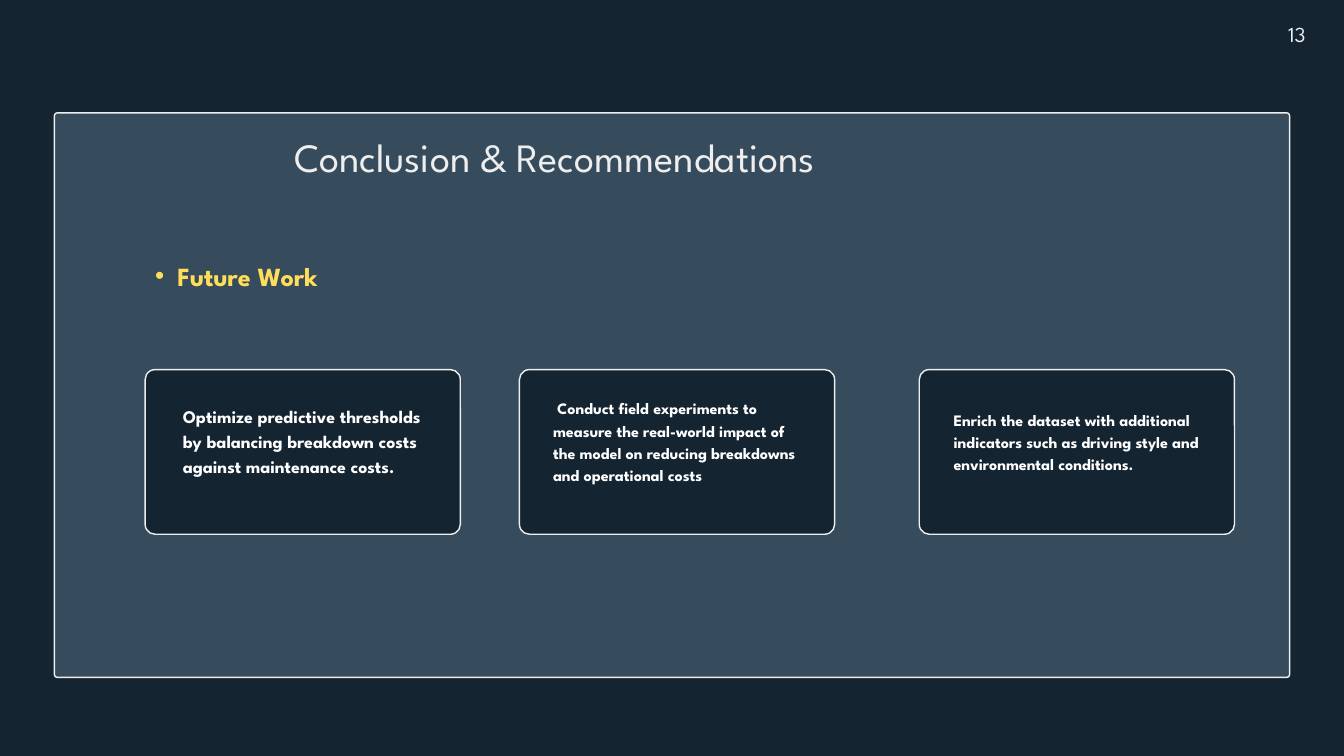
import dataclasses

import lxml.etree
import pptx
import pptx.dml.color
import pptx.enum.shapes
import pptx.enum.text
import pptx.oxml.ns
import pptx.slide
import pptx.text.text
import pptx.util

NAVY = pptx.dml.color.RGBColor(0x14, 0x24, 0x31)
SLATE = pptx.dml.color.RGBColor(0x36, 0x4C, 0x5D)
PALE = pptx.dml.color.RGBColor(0xEE, 0xEE, 0xEE)
YELLOW = pptx.dml.color.RGBColor(0xFF, 0xDE, 0x59)
WHITE = pptx.dml.color.RGBColor(0xFF, 0xFF, 0xFF)

FONT = "League Spartan"
SLIDE_WIDTH = pptx.util.Inches(20)
SLIDE_HEIGHT = pptx.util.Inches(11.25)
COLUMNS, ROWS = 80, 45
CARD_TOP, CARD_WIDTH, CARD_HEIGHT = 22, 18.76, 9.8


@dataclasses.dataclass(frozen=True)
class Area:
    """A rectangle in grid columns and rows."""

    column: float
    row: float
    columns: float
    rows: float

    def lengths(self) -> tuple[int, int, int, int]:
        """Return left, top, width and height on the slide."""
        across, down = SLIDE_WIDTH / COLUMNS, SLIDE_HEIGHT / ROWS
        return (
            round(self.column * across),
            round(self.row * down),
            round(self.columns * across),
            round(self.rows * down),
        )


@dataclasses.dataclass(frozen=True)
class Label:
    """A text with its place and type style."""

    text: str
    area: Area
    size: float
    leading: float
    color: pptx.dml.color.RGBColor = PALE
    bold: bool = False
    centered: bool = False
    bulleted: bool = False


@dataclasses.dataclass(frozen=True)
class Card:
    """A recommendation card and the label inside it."""

    column: float
    label: Label


PANEL = Area(3.24, 6.72, 73.52, 33.6)
HEADINGS = (
    Label("13", Area(76.68, 1, 2.32, 1.68), 22.9, 32),
    Label("Conclusion & Recommendations", Area(10, 7.4, 46, 3.24), 43, 60.1, centered=True),
    Label("Future Work", Area(7.92, 15.16, 19.48, 2.12), 28, 39.2, YELLOW, True, bulleted=True),
)
CARDS = (
    Card(8.64, Label(
        "Optimize predictive thresholds by balancing breakdown costs against maintenance costs.",
        Area(10.88, 23.92, 14.96, 5.8), 19.1, 26.7, WHITE, True)),
    Card(30.92, Label(
        " Conduct field experiments to measure the real-world impact of the model "
        "on reducing breakdowns and operational costs",
        Area(32.92, 23.56, 14.76, 6.56), 17.1, 23.9, WHITE, True)),
    Card(54.72, Label(
        "Enrich the dataset with additional indicators such as driving style "
        "and environmental conditions.",
        Area(56.76, 24.24, 14.76, 5.24), 17.1, 23.9, WHITE, True)),
)


def draw_panel(
    page: pptx.slide.Slide, area: Area, fill: pptx.dml.color.RGBColor, rounding: float
) -> None:
    """Draw an outlined rounded rectangle."""
    panel = page.shapes.add_shape(
        pptx.enum.shapes.MSO_SHAPE.ROUNDED_RECTANGLE, *area.lengths()
    )
    panel.adjustments[0] = rounding
    panel.shadow.inherit = False
    panel.fill.solid()
    panel.fill.fore_color.rgb = fill
    panel.line.color.rgb = PALE
    panel.line.width = pptx.util.Pt(1.5)


def add_bullet(para: pptx.text.text._Paragraph) -> None:
    """Give a paragraph a hanging round bullet."""
    para.level = 1
    properties = para._p.get_or_add_pPr()
    properties.set("marL", str(pptx.util.Inches(0.66)))
    properties.set("indent", str(pptx.util.Inches(-0.33)))
    bullet_font = lxml.etree.SubElement(properties, pptx.oxml.ns.qn("a:buFont"))
    bullet_font.set("typeface", "Arial")
    bullet = lxml.etree.SubElement(properties, pptx.oxml.ns.qn("a:buChar"))
    bullet.set("char", "•")


def draw_label(page: pptx.slide.Slide, label: Label) -> None:
    """Draw a text box without margins."""
    box = page.shapes.add_textbox(*label.area.lengths())
    frame = box.text_frame
    frame.margin_left = frame.margin_top = frame.margin_right = frame.margin_bottom = 0
    frame.word_wrap = True
    frame.auto_size = pptx.enum.text.MSO_AUTO_SIZE.SHAPE_TO_FIT_TEXT
    frame.text = label.text
    para = frame.paragraphs[0]
    para.line_spacing = pptx.util.Pt(label.leading)
    if label.centered:
        para.alignment = pptx.enum.text.PP_ALIGN.CENTER
    if label.bulleted:
        add_bullet(para)
    for span in para.runs:
        span.font.name = FONT
        span.font.size = pptx.util.Pt(label.size)
        span.font.bold = label.bold
        span.font.color.rgb = label.color


def main() -> None:
    """Build and save the recommendations slide."""
    deck = pptx.Presentation()
    deck.slide_width, deck.slide_height = SLIDE_WIDTH, SLIDE_HEIGHT
    page = deck.slides.add_slide(deck.slide_layouts[6])
    page.background.fill.solid()
    page.background.fill.fore_color.rgb = NAVY
    draw_panel(page, PANEL, SLATE, 0.005)
    for heading in HEADINGS:
        draw_label(page, heading)
    for card in CARDS:
        draw_panel(page, Area(card.column, CARD_TOP, CARD_WIDTH, CARD_HEIGHT), NAVY, 0.06)
        draw_label(page, card.label)
    deck.save("out.pptx")


if __name__ == "__main__":
    main()
